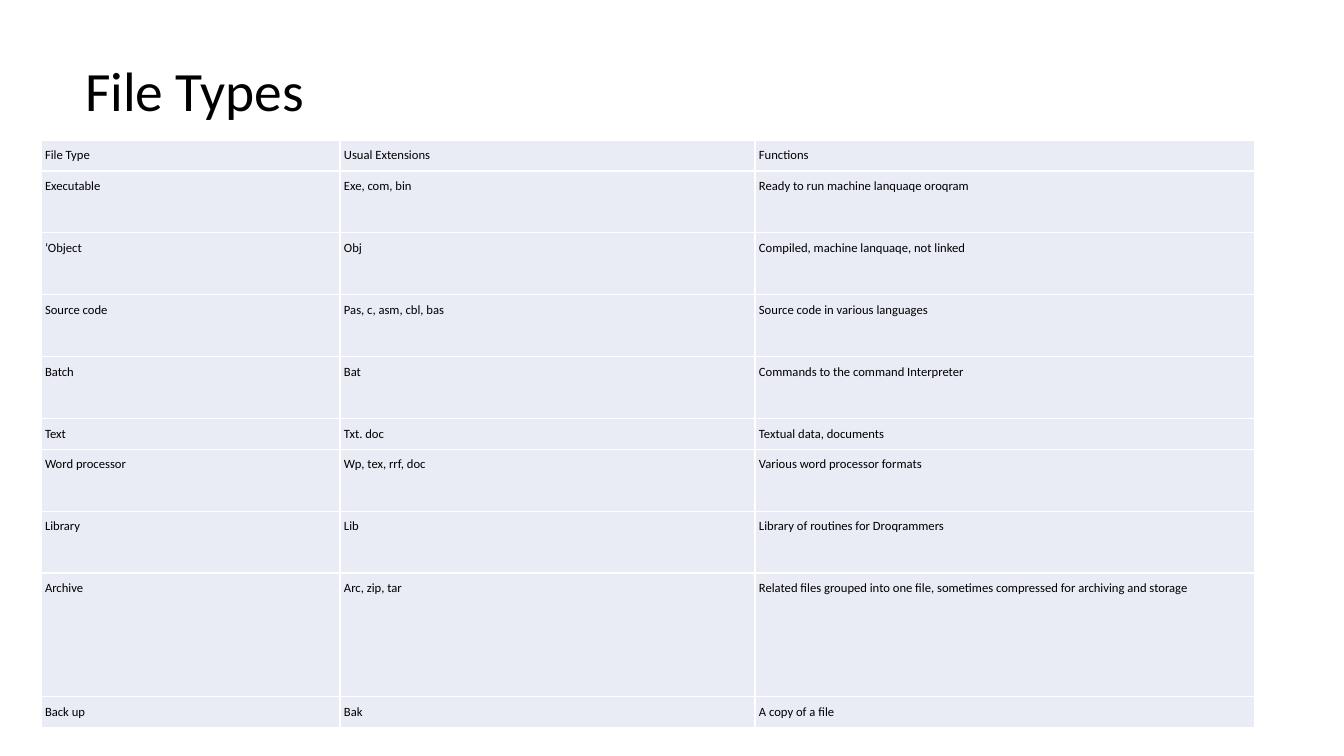
from pptx import Presentation
from pptx.dml.color import RGBColor
from pptx.enum.text import MSO_ANCHOR, MSO_AUTO_SIZE, PP_ALIGN
from pptx.oxml import parse_xml
from pptx.oxml.ns import nsdecls
from pptx.util import Pt

THEME = {
    "font": "Calibri", "ink": "000000", "fill": "E9EBF5", "rule": "FFFFFF",
    "title": 39.6, "cell": 9,
}
WIDE, HIGH = 1344, 756
SCALE = 12192000 / WIDE


def px(count):
    """Turn pixels into EMU."""
    return round(count * SCALE)


def write(frame, text, size, align, lines, after=0, indent=0):
    frame.text = text
    para = frame.paragraphs[0]
    para.alignment = align
    para.line_spacing = lines
    para.space_after = Pt(after)
    if indent:
        props = para._p.get_or_add_pPr()
        props.set("marL", str(px(indent)))
        props.set("indent", "0")
    font = para.runs[0].font
    font.name = THEME["font"]
    font.size = Pt(size)
    font.color.rgb = RGBColor.from_string(THEME["ink"])


deck = Presentation()
deck.slide_width, deck.slide_height = px(WIDE), px(HIGH)
slide = deck.slides.add_slide(deck.slide_layouts[5])

title = slide.shapes.title
title.left, title.top, title.width, title.height = map(px, (75, 68, 948, 52))
write(title.text_frame, "File Types", THEME["title"], PP_ALIGN.LEFT, 0.9)
title.text_frame.vertical_anchor = MSO_ANCHOR.MIDDLE
title.text_frame.auto_size = MSO_AUTO_SIZE.NONE

# Each row: height in units, then its three cells
ROWS = [
    (1, "File Type", "Usual Extensions", "Functions"),
    (2, "Executable", "Exe, com, bin", "Ready to run machine lanquaqe oroqram"),
    (2, "‘Object", "Obj", "Compiled, machine lanquaqe, not linked"),
    (2, "Source code", "Pas, c, asm, cbl, bas", "Source code in various languages"),
    (2, "Batch", "Bat", "Commands to the command Interpreter"),
    (1, "Text", "Txt. doc", "Textual data, documents"),
    (2, "Word processor", "Wp, tex, rrf, doc", "Various word processor formats"),
    (2, "Library", "Lib", "Library of routines for Droqrammers"),
    (4, "Archive", "Arc, zip, tar",
     "Related files grouped into one file, sometimes compressed for archiving and storage"),
    (1, "Back up", "Bak", "A copy of a file"),
]
COLS = (299, 415, 500)
TALL = 588
UNIT = TALL / sum(row[0] for row in ROWS)

table = slide.shapes.add_table(
    len(ROWS), len(COLS), px(41), px(140), px(sum(COLS)), px(TALL)).table
table.first_row = table.horz_banding = False
for col, width in zip(table.columns, COLS):
    col.width = px(width)

for r, (units, *texts) in enumerate(ROWS):
    table.rows[r].height = px(units * UNIT)
    for c, text in enumerate(texts):
        cell = table.cell(r, c)
        cell.margin_left = cell.margin_right = 0
        cell.margin_top = cell.margin_bottom = 0
        write(cell.text_frame, text, THEME["cell"], PP_ALIGN.JUSTIFY, 1.5,
              after=6, indent=4)
        cell.fill.solid()
        cell.fill.fore_color.rgb = RGBColor.from_string(THEME["fill"])
        props = cell._tc.get_or_add_tcPr()
        for spot, side in enumerate("LRTB"):
            props.insert(spot, parse_xml(
                f'<a:ln{side} {nsdecls("a")} w="{Pt(1)}"><a:solidFill>'
                f'<a:srgbClr val="{THEME["rule"]}"/></a:solidFill></a:ln{side}>'))

deck.save("out.pptx")
